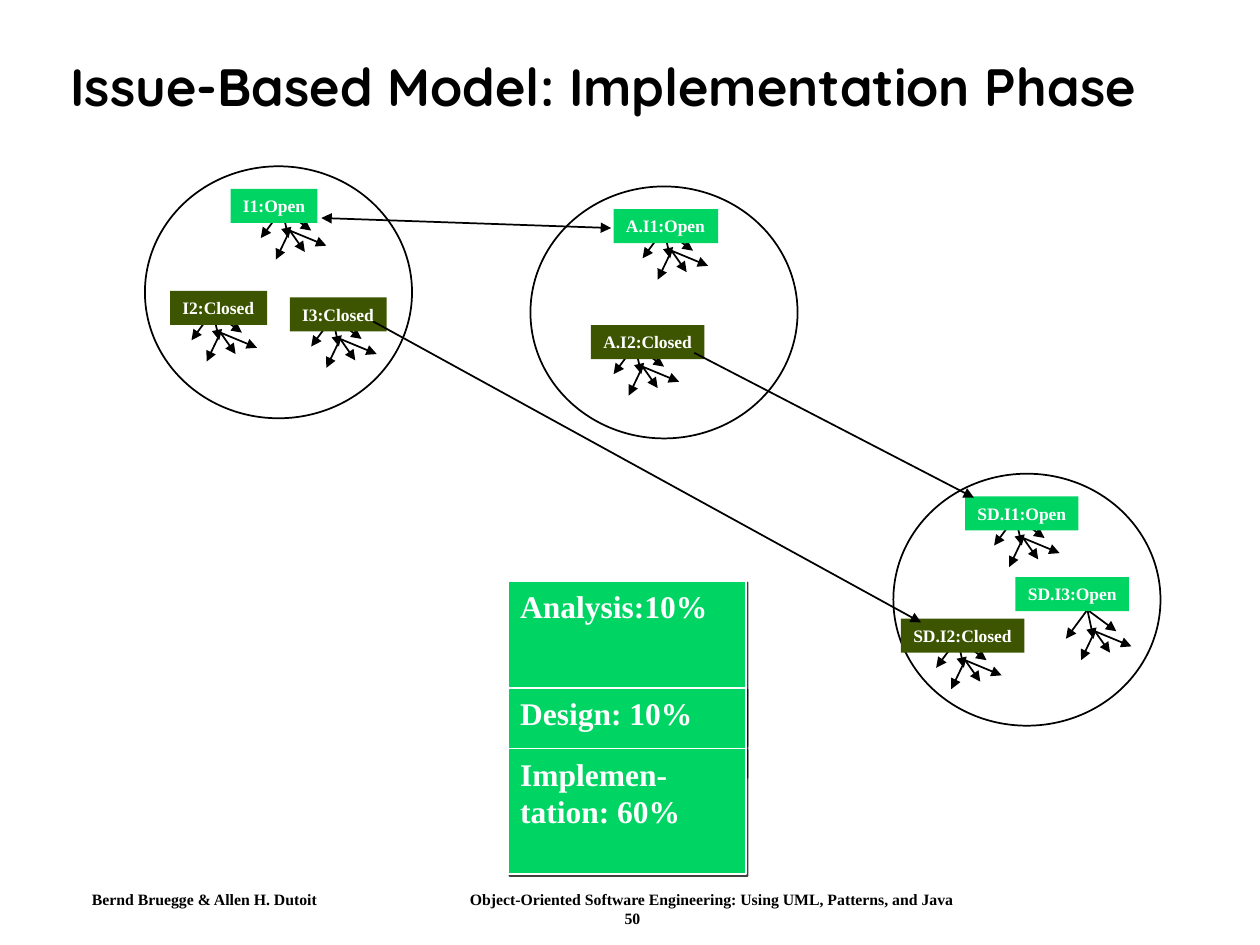
from lxml.etree import SubElement
from pptx import Presentation
from pptx.dml.color import RGBColor
from pptx.enum.shapes import MSO_CONNECTOR, MSO_SHAPE
from pptx.enum.text import MSO_ANCHOR as ANCHOR, PP_ALIGN as ALIGN
from pptx.oxml.ns import qn
from pptx.util import Inches, Pt

BLACK = RGBColor(0, 0, 0)
WHITE = RGBColor(255, 255, 255)
GREEN = RGBColor(0x00, 0xD5, 0x64)
OLIVE = RGBColor(0x3D, 0x55, 0x00)

HUB = (0.06, 0.17)
APEX_TIPS = [(0.05, 0.23), (-0.17, 0.23), (0.23, 0.17)]
HUB_TIPS = [(-0.11, 0.23), (0.12, 0.17), (0.29, 0.12)]
ISSUES = [
    ("I1:Open", GREEN, 1.83, 1.5, 0.69, 2.24, 1.66),
    ("I2:Closed", OLIVE, 1.35, 2.31, 0.77, 1.69, 2.47),
    ("I3:Closed", OLIVE, 2.3, 2.36, 0.77, 2.64, 2.52),
    ("A.I1:Open", GREEN, 4.87, 1.66, 0.83, 5.27, 1.82),
    ("A.I2:Closed", OLIVE, 4.69, 2.58, 0.9, 5.04, 2.74),
    ("SD.I1:Open", GREEN, 7.66, 3.94, 0.9, 8.06, 4.1),
    ("SD.I2:Closed", OLIVE, 7.15, 4.91, 0.98, 7.6, 5.07),
    ("SD.I3:Open", GREEN, 8.06, 4.58, 0.9, 8.63, 4.84),
]
MODELS = [(1.15, 1.32), (4.21, 1.48), (7.09, 3.76)]
LINKS = [
    ((2.55, 1.73), (4.85, 1.81), ("headEnd", "tailEnd")),
    ((5.51, 2.8), (7.73, 3.95), ("tailEnd",)),
    ((2.96, 2.55), (7.31, 4.94), ("tailEnd",)),
]
PHASES = [
    ("Analysis:10%", 4.61, 1.3),
    ("Design: 10%", 5.46, 0.7),
    ("Implemen-tation: 60%", 5.94, 1),
]


class Deck:
    """Holds the style and the current slide, and draws each kind of element."""

    font = "Times New Roman"
    title_font = "Quicksand"

    def __init__(self, slide):
        self.s = slide

    def style(self, p, size, color, font=None):
        for r in p.runs:
            r.font.name = font or self.font
            r.font.size = Pt(size)
            r.font.bold = True
            r.font.color.rgb = color

    def title(self, text, x, y, w, h):
        tf = self.s.shapes.add_textbox(Inches(x), Inches(y), Inches(w), Inches(h)).text_frame
        tf.word_wrap = True
        tf.vertical_anchor = ANCHOR.MIDDLE
        tf.text = text
        tf.paragraphs[0].line_spacing = 0.9
        self.style(tf.paragraphs[0], 30, BLACK, self.title_font)

    def footer(self, authors, book, number, x, y, w, h):
        tf = self.s.shapes.add_textbox(Inches(x), Inches(y), Inches(w), Inches(h)).text_frame
        tf.word_wrap = True
        tf.margin_left = tf.margin_right = Inches(0.08)
        tf.margin_top = tf.margin_bottom = Inches(0.04)
        tf.text = f"{authors}\t{book}"
        p = tf.paragraphs[0]
        tabs = SubElement(p._p.get_or_add_pPr(), qn("a:tabLst"))
        SubElement(tabs, qn("a:tab"), pos=str(Inches(3)), algn="l")
        last = tf.add_paragraph()
        last.text = number
        last.alignment = ALIGN.CENTER
        for p in tf.paragraphs:
            self.style(p, 9, BLACK)

    def circle(self, x, y):
        sp = self.s.shapes.add_shape(
            MSO_SHAPE.OVAL, Inches(x), Inches(y), Inches(2.12), Inches(2))
        sp.shadow.inherit = False
        sp.fill.background()
        sp.line.color.rgb = BLACK
        sp.line.width = Pt(1)

    def arrow(self, start, end, ends=("tailEnd",), shapes=None):
        points = [Inches(v) for v in (*start, *end)]
        cn = (shapes or self.s.shapes).add_connector(MSO_CONNECTOR.STRAIGHT, *points)
        cn.line.color.rgb = BLACK
        cn.line.width = Pt(1)
        for name in ends:
            SubElement(cn.line._ln, qn(f"a:{name}"), type="triangle")
        SubElement(cn._element.spPr, qn("a:effectLst"))

    def fan(self, x, y):
        shapes = self.s.shapes.add_group_shape().shapes
        hub = (x + HUB[0], y + HUB[1])
        for (ox, oy), tips in (((x, y), APEX_TIPS), (hub, HUB_TIPS)):
            for dx, dy in tips:
                self.arrow((ox, oy), (ox + dx, oy + dy), shapes=shapes)

    def box(self, text, fill, x, y, w, h, size, wrap):
        sp = self.s.shapes.add_shape(
            MSO_SHAPE.RECTANGLE, Inches(x), Inches(y), Inches(w), Inches(h))
        sp.shadow.inherit = False
        sp.fill.solid()
        sp.fill.fore_color.rgb = fill
        sp.line.fill.background()
        tf = sp.text_frame
        tf.word_wrap = wrap
        tf.vertical_anchor = ANCHOR.TOP
        tf.text = text
        tf.paragraphs[0].alignment = ALIGN.LEFT
        self.style(tf.paragraphs[0], size, WHITE)
        return sp

    def issue(self, text, fill, x, y, w, apex_x, apex_y):
        self.fan(apex_x, apex_y)
        return self.box(text, fill, x, y, w, 0.27, 10, False)

    def phase(self, text, y, h):
        sp = self.box(text, GREEN, 4.03, y, 1.89, h, 18, True)
        sp.line.color.rgb = WHITE
        sp.line.width = Pt(1)
        effects = sp._element.spPr.find(qn("a:effectLst"))
        shadow = SubElement(effects, qn("a:outerShdw"), blurRad="0", dist=str(Pt(1.4)),
                            dir="2700000", algn="ctr", rotWithShape="0")
        color = SubElement(shadow, qn("a:srgbClr"), val=str(BLACK))
        SubElement(color, qn("a:alpha"), val="75000")


def main():
    prs = Presentation()
    prs.slide_width, prs.slide_height = Inches(10), Inches(7.5)
    deck = Deck(prs.slides.add_slide(prs.slide_layouts[6]))
    deck.footer("Bernd Bruegge & Allen H. Dutoit",
                "Object-Oriented Software Engineering: Using UML, Patterns, and Java",
                "50", 0.65, 7.02, 8.74, 0.36)
    deck.title("Issue-Based Model: Implementation Phase", 0.46, 0.24, 8.92, 0.94)
    for model in MODELS:
        deck.circle(*model)
    for issue in ISSUES:
        deck.issue(*issue)
    for link in LINKS:
        deck.arrow(*link)
    for phase in PHASES:
        deck.phase(*phase)
    prs.save("out.pptx")


if __name__ == "__main__":
    main()
